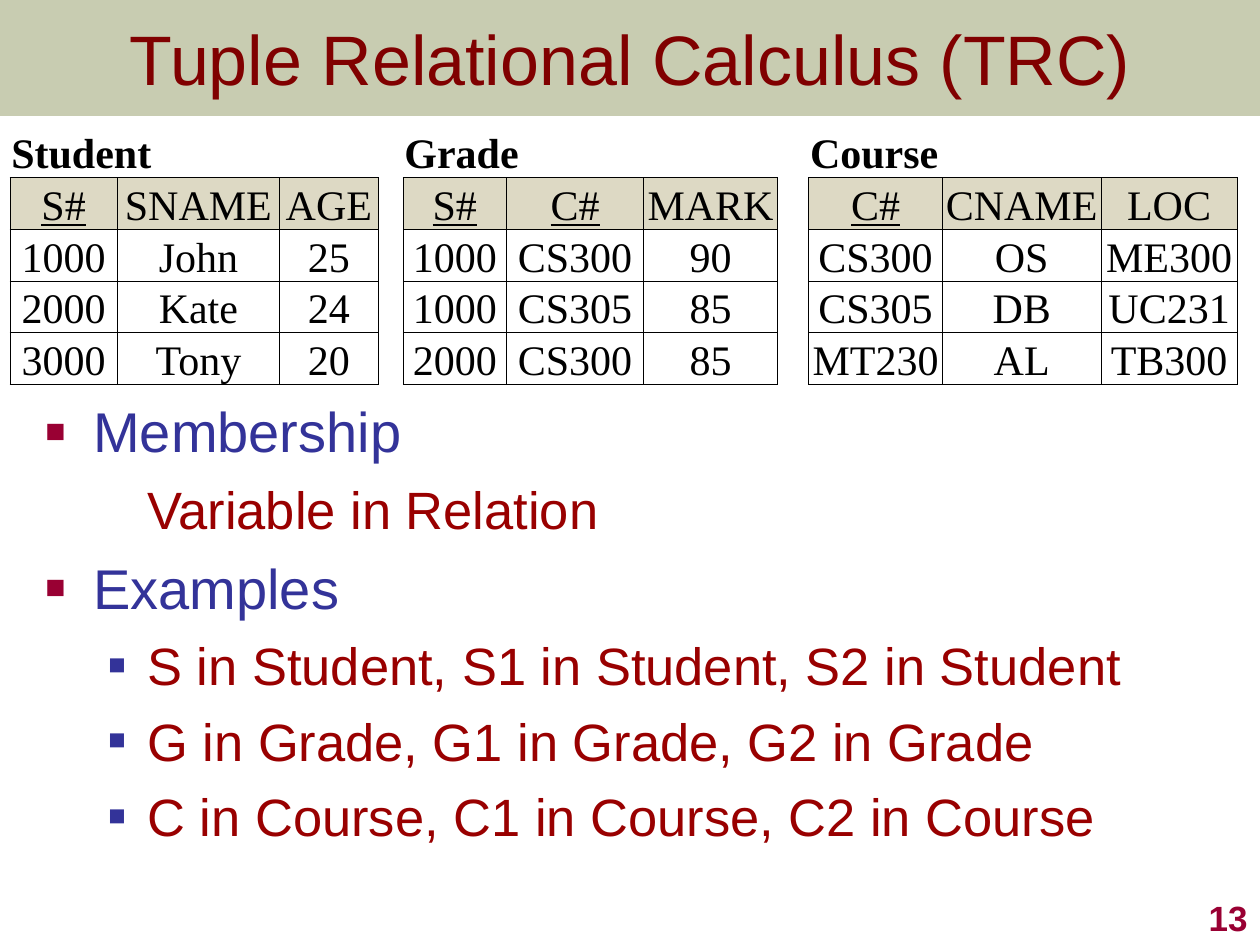
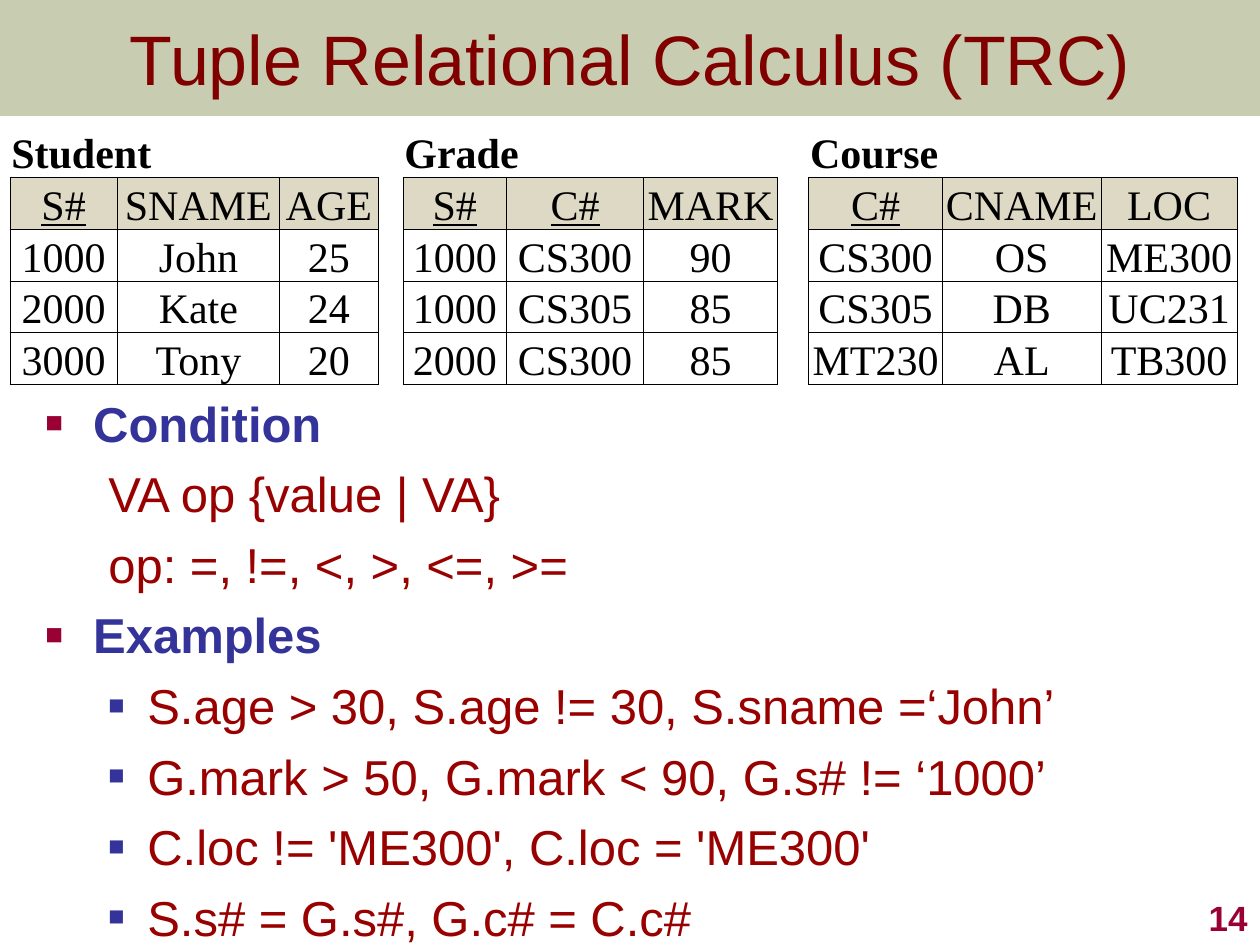
from lxml import etree
from pptx import Presentation
from pptx.dml.color import RGBColor
from pptx.enum import shapes, text
from pptx.oxml import ns
from pptx.util import Inches, Pt

TITLE = "Tuple Relational Calculus (TRC)"

RELATIONS = [
    {
        "name": "Student",
        "keys": {"S#"},
        "widths": [0.85, 1.29, 0.78],
        "rows": [
            ["S#", "SNAME", "AGE"],
            ["1000", "John", "25"],
            ["2000", "Kate", "24"],
            ["3000", "Tony", "20"],
        ],
    },
    {
        "name": "Grade",
        "keys": {"S#", "C#"},
        "widths": [0.82, 1.09, 1.06],
        "rows": [
            ["S#", "C#", "MARK"],
            ["1000", "CS300", "90"],
            ["1000", "CS305", "85"],
            ["2000", "CS300", "85"],
        ],
    },
    {
        "name": "Course",
        "keys": {"C#"},
        "widths": [1.06, 1.26, 1.08],
        "rows": [
            ["C#", "CNAME", "LOC"],
            ["CS300", "OS", "ME300"],
            ["CS305", "DB", "UC231"],
            ["MT230", "AL", "TB300"],
        ],
    },
]
GAPS = [0.2, 0.25]

SLIDES = [
    {
        "number": 13,
        "body": (0.26, 3.1, 9.4, 3.67),
        "sizes": {"topic": 32, "plain": 30, "item": 30},
        "bold_topics": False,
        "plain_indent": 0,
        "lines": [
            ("topic", "Membership"),
            ("plain", "Variable in Relation"),
            ("topic", "Examples"),
            ("item", "S in Student, S1 in Student, S2 in Student"),
            ("item", "G in Grade, G1 in Grade, G2 in Grade"),
            ("item", "C in Course, C1 in Course, C2 in Course"),
        ],
    },
    {
        "number": 14,
        "body": (0.26, 3.07, 9.4, 4.43),
        "sizes": {"topic": 28, "plain": 28, "item": 28},
        "bold_topics": True,
        "plain_indent": -0.31,
        "lines": [
            ("topic", "Condition"),
            ("plain", "VA op {value | VA}"),
            ("plain", "op: =, !=, <, >, <=, >="),
            ("topic", "Examples"),
            ("item", "S.age > 30, S.age != 30, S.sname =‘John’"),
            ("item", "G.mark > 50, G.mark < 90, G.s# != ‘1000’"),
            ("item", "C.loc != 'ME300', C.loc = 'ME300'"),
            ("item", "S.s# = G.s#, G.c# = C.c#"),
        ],
    },
]

COLORS = {
    "band": "677228",
    "title": "800000",
    "topic": "333399",
    "detail": "990000",
    "accent": "990033",
    "header": "DDD9C4",
    "paper": "FFFFFF",
    "ink": "000000",
}
BULLETS = {"topic": ("accent", 60), "item": ("topic", 55)}
MAIN_FONT = "Arial"
TABLE_FONT = "Times New Roman"
BAND_HEIGHT = 0.92
ROW_HEIGHT = 0.38


def color(name):
    return RGBColor.from_string(COLORS[name])


def add_element(parent, tag, **attributes):
    return etree.SubElement(parent, ns.qn(f"a:{tag}"), attributes)


def set_default_font(presentation):
    for owner in (presentation, presentation.slide_master):
        for latin in owner.element.iter(ns.qn("a:latin")):
            latin.set("typeface", MAIN_FONT)


def set_font(paragraph, size, color_name, name=MAIN_FONT, bold=False):
    font = paragraph.font
    font.name = name
    font.size = Pt(size)
    font.bold = bold
    font.color.rgb = color(color_name)
    ending = add_element(paragraph._p, "endParaRPr", sz=str(size * 100))
    add_element(ending, "latin", typeface=name)


def move(shape, left, top, width, height):
    shape.left, shape.top = Inches(left), Inches(top)
    shape.width, shape.height = Inches(width), Inches(height)


def add_band(slide, layout):
    band = slide.shapes.add_shape(
        shapes.MSO_SHAPE.RECTANGLE, 0, 0, Inches(10), Inches(BAND_HEIGHT))
    band.shadow.inherit = False
    band.line.fill.background()
    band.fill.solid()
    band.fill.fore_color.rgb = color("band")
    fill_color = band.element.spPr.find(ns.qn("a:solidFill"))[0]
    add_element(fill_color, "alpha", val="36000")
    layout.shapes.element.insert(2, band.element)


def add_title(slide):
    title = slide.shapes.title
    move(title, 0, 0, 10, BAND_HEIGHT)
    title.text_frame.text = TITLE
    title.text_frame.vertical_anchor = text.MSO_ANCHOR.MIDDLE
    paragraph = title.text_frame.paragraphs[0]
    paragraph.alignment = text.PP_ALIGN.CENTER
    set_font(paragraph, 40, "title")


def set_bullet(paragraph, kind, plain_indent):
    properties = paragraph._p.get_or_add_pPr()
    margin = 0.38 if kind == "topic" else 0.81
    indent = {"topic": -0.38, "plain": plain_indent, "item": -0.31}[kind]
    properties.set("marL", str(Inches(margin)))
    properties.set("indent", str(Inches(indent)))
    if kind not in BULLETS:
        add_element(properties, "buNone")
        return
    color_name, percent = BULLETS[kind]
    bullet_color = add_element(properties, "buClr")
    add_element(bullet_color, "srgbClr", val=COLORS[color_name])
    add_element(properties, "buSzPct", val=str(percent * 1000))
    add_element(properties, "buFont", typeface=MAIN_FONT)
    add_element(properties, "buChar", char="■")


def add_body(slide, content):
    body = slide.placeholders[1]
    move(body, *content["body"])
    frame = body.text_frame
    frame.auto_size = text.MSO_AUTO_SIZE.NONE
    frame.vertical_anchor = text.MSO_ANCHOR.TOP
    frame.margin_right = 0
    for index, (kind, line) in enumerate(content["lines"]):
        paragraph = frame.add_paragraph() if index else frame.paragraphs[0]
        paragraph.text = line
        paragraph.level = 0 if kind == "topic" else 1
        size = content["sizes"][kind]
        set_bullet(paragraph, kind, content["plain_indent"])
        paragraph.space_before = Pt(size * 0.24 if index else 0)
        set_font(paragraph, size, "topic" if kind == "topic" else "detail",
                 bold=kind == "topic" and content["bold_topics"])


def style_cell(cell, fill_name, borders):
    cell.margin_left = cell.margin_top = cell.margin_right = Inches(0.01)
    cell.margin_bottom = 0
    cell.vertical_anchor = text.MSO_ANCHOR.BOTTOM
    properties = cell._tc.get_or_add_tcPr()
    for side in "LRTB":
        line = add_element(properties, f"ln{side}", w=str(Pt(0.5)))
        if side in borders:
            fill = add_element(line, "solidFill")
            add_element(fill, "srgbClr", val=COLORS["ink"])
        else:
            add_element(line, "noFill")
    cell.fill.solid()
    cell.fill.fore_color.rgb = color(fill_name)


def write_cell(cell, value, bold=False, underline=False, centered=True):
    cell.text = value
    paragraph = cell.text_frame.paragraphs[0]
    if centered:
        paragraph.alignment = text.PP_ALIGN.CENTER
    set_font(paragraph, 24, "ink", TABLE_FONT, bold)
    paragraph.font.underline = underline


def add_relations(slide):
    widths = []
    starts = []
    for relation, gap in zip(RELATIONS, GAPS + [None]):
        starts.append(len(widths))
        widths += relation["widths"] + ([gap] if gap else [])
    row_count = 1 + len(RELATIONS[0]["rows"])
    table = slide.shapes.add_table(
        row_count, len(widths), Inches(0.08), Inches(1),
        Inches(sum(widths)), Inches(ROW_HEIGHT * row_count)).table
    table.horz_banding = False
    table.first_row = False
    for column, width in zip(table.columns, widths):
        column.width = Inches(width)
    for row in table.rows:
        row.height = Inches(ROW_HEIGHT)

    for relation, start in zip(RELATIONS, starts):
        last = start + len(relation["widths"]) - 1
        for column in range(start, last + 1):
            style_cell(table.cell(0, column), "paper", "B")
        table.cell(0, start).merge(table.cell(0, last))
        write_cell(table.cell(0, start), relation["name"], bold=True, centered=False)
        for row, values in enumerate(relation["rows"], 1):
            for column, value in enumerate(values, start):
                cell = table.cell(row, column)
                style_cell(cell, "header" if row == 1 else "paper", "LRTB")
                write_cell(cell, value, underline=value in relation["keys"])

    for start in starts[1:]:
        for row in range(row_count):
            style_cell(table.cell(row, start - 1), "paper", "LR" if row else "")


def add_number(slide, number):
    box = slide.shapes.add_textbox(Inches(7.92), Inches(7), Inches(2.08), Inches(0.5))
    frame = box.text_frame
    frame.word_wrap = True
    frame.vertical_anchor = text.MSO_ANCHOR.BOTTOM
    frame.text = str(number)
    paragraph = frame.paragraphs[0]
    paragraph.alignment = text.PP_ALIGN.RIGHT
    set_font(paragraph, 20, "accent", bold=True)


def main():
    presentation = Presentation()
    presentation.slide_width, presentation.slide_height = Inches(10), Inches(7.5)
    set_default_font(presentation)
    layout = presentation.slide_layouts[1]
    for index, content in enumerate(SLIDES):
        slide = presentation.slides.add_slide(layout)
        if index == 0:
            add_band(slide, layout)
        add_title(slide)
        add_body(slide, content)
        add_number(slide, content["number"])
        add_relations(slide)
    presentation.save("out.pptx")


if __name__ == "__main__":
    main()
